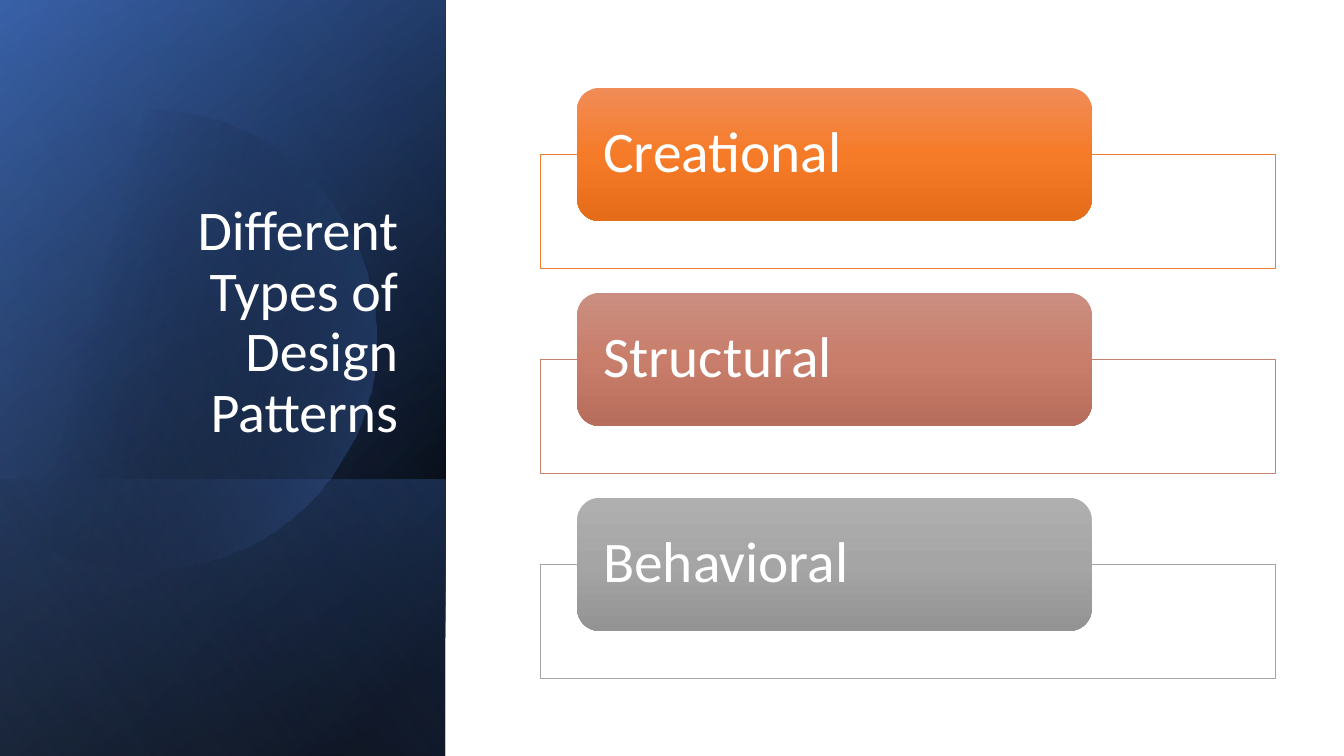
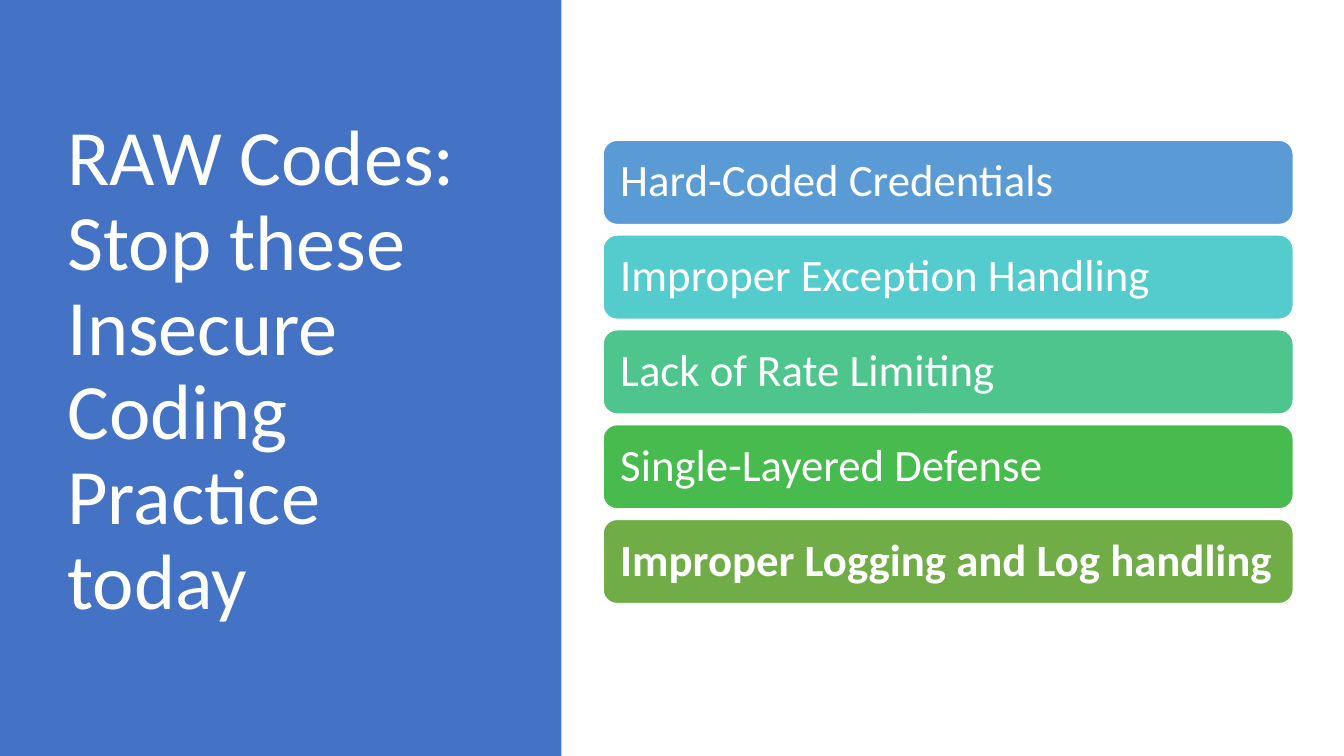
from math import cos, radians, sin

from lxml.etree import fromstring
from pptx import Presentation
from pptx.dml.color import RGBColor
from pptx.enum.shapes import MSO_SHAPE
from pptx.enum.text import MSO_ANCHOR, MSO_AUTO_SIZE, PP_ALIGN
from pptx.oxml.ns import qn
from pptx.util import Pt

NS = "http://schemas.openxmlformats.org/drawingml/2006/main"
FONT = "Calibri"
HUES = {
    "white": "FFFFFF", "black": "000000", "blue": "4472C4",
    "navy": "2F5597", "pale": "8FAADC", "orange": "ED7D31",
    "rust": "C48170", "gray": "A5A5A5", "sky": "5B9BD5",
    "aqua": "54CCCD", "mint": "4DC58D", "green": "48BB4F",
    "olive": "70AD47",
    "orange1": "F18C57", "orange2": "F67B28", "orange3": "E56C19",
    "rust1": "CB8F81", "rust2": "C97E6B", "rust3": "B76D5B",
    "gray1": "AFAFAF", "gray2": "A5A5A5", "gray3": "939393",
}


def paint(shape, fill, angle=0, line=None, width=1):
    shape.shadow.inherit = False
    if line:
        shape.line.color.rgb = RGBColor.from_string(HUES[line])
        shape.line.width = Pt(width)
    else:
        shape.line.fill.background()
    if isinstance(fill, str):
        shape.fill.solid()
        shape.fill.fore_color.rgb = RGBColor.from_string(HUES[fill])
        return
    shape.fill.background()
    stops = "".join(
        f'<a:gs pos="{spot * 1000}"><a:srgbClr val="{HUES[hue]}">'
        f'<a:alpha val="{alpha * 1000}"/></a:srgbClr></a:gs>'
        for spot, hue, alpha in fill)
    grad = fromstring(
        f'<a:gradFill xmlns:a="{NS}" rotWithShape="1"><a:gsLst>{stops}</a:gsLst>'
        f'<a:lin ang="{angle * 60000}" scaled="0"/></a:gradFill>')
    props = shape._element.spPr
    props.replace(props.find(qn("a:noFill")), grad)


def write(shape, text, size, anchor, align=PP_ALIGN.LEFT, bold=False):
    frame = shape.text_frame
    frame.text = text
    frame.word_wrap = True
    frame.auto_size = MSO_AUTO_SIZE.NONE
    frame.vertical_anchor = anchor
    para = frame.paragraphs[0]
    para.alignment = align
    para.line_spacing = 0.9
    para.font.name = FONT
    para.font.size = Pt(size)
    para.font.bold = bold
    para.font.color.rgb = RGBColor.from_string(HUES["white"])


deck = Presentation()
deck.slide_width, deck.slide_height = Pt(960), Pt(540)
layout = deck.slide_layouts[5]

# fmt: off
slide = deck.slides.add_slide(layout)
shapes = slide.shapes
wide, high, foot = 318.2, 540, 197.3
disc = (104, 242.5, 165)
panels = [
    (high, 50, [(8, "black", 100), (100, "navy", 100)]),
    (high, 30, [(0, "black", 0), (99, "blue", 46)]),
    (foot, 130, [(2, "blue", 29), (100, "black", 30)]),
    (None, 14, [(29, "black", 0), (100, "blue", 43)]),
    (high, 120, [(0, "black", 0), (99, "pale", 11)]),
]
for tall, angle, stops in panels:
    if tall:
        panel = shapes.add_shape(
            MSO_SHAPE.RECTANGLE, Pt((wide - tall) / 2),
            Pt(high - (tall + wide) / 2), Pt(tall), Pt(wide))
        panel.rotation = 90
        panel._element.spPr.xfrm.set("flipH", "1")
    else:
        mid, level, radius = disc
        arc = [(mid + radius * cos(radians(turn)),
                level + radius * sin(radians(turn)))
               for turn in range(-129, 130, 2)]
        pen = shapes.build_freeform(*arc[0], scale=Pt(1))
        pen.add_line_segments(arc[1:], close=True)
        panel = pen.convert_to_shape()
    paint(panel, stops, angle)

title = shapes.title
title.left, title.top, title.width, title.height = Pt(46), Pt(132.5), Pt(245.5), Pt(188.6)
write(title, "Different Types of Design Patterns", 40, MSO_ANCHOR.BOTTOM, PP_ALIGN.RIGHT)
shapes._spTree.append(title._element)

kinds = [("Creational", "orange"), ("Structural", "rust"), ("Behavioral", "gray")]
for row, (text, hue) in enumerate(kinds):
    top = 62.8 + row * 146.4
    frame = shapes.add_shape(MSO_SHAPE.RECTANGLE, Pt(386), Pt(top + 47.4), Pt(525), Pt(81.4))
    paint(frame, "white", line=hue, width=0.5)
    card = shapes.add_shape(MSO_SHAPE.ROUNDED_RECTANGLE, Pt(412.3), Pt(top), Pt(367.5), Pt(95))
    paint(card, [(0, hue + "1", 100), (50, hue + "2", 100), (100, hue + "3", 100)], 90)
    card.text_frame.margin_left = card.text_frame.margin_right = Pt(14)
    write(card, text, 41, MSO_ANCHOR.MIDDLE)

slide = deck.slides.add_slide(layout)
shapes = slide.shapes
panel = shapes.add_shape(MSO_SHAPE.RECTANGLE, 0, 0, Pt(401), Pt(high))
paint(panel, "blue")
title = shapes.title
title.left, title.top, title.width, title.height = Pt(41), Pt(49), Pt(299.5), Pt(433.4)
write(title, "RAW Codes: Stop these Insecure Coding Practice today", 56, MSO_ANCHOR.MIDDLE)
shapes._spTree.append(title._element)

flaws = [
    ("Hard-Coded Credentials", "sky"),
    ("Improper Exception Handling", "aqua"),
    ("Lack of Rate Limiting", "mint"),
    ("Single-Layered Defense", "green"),
    ("Improper Logging and Log handling", "olive"),
]
for row, (text, hue) in enumerate(flaws):
    card = shapes.add_shape(
        MSO_SHAPE.ROUNDED_RECTANGLE, Pt(430.8), Pt(100.2 + row * 67.7), Pt(493), Pt(60.2))
    paint(card, hue, line="white")
    card.text_frame.margin_left = card.text_frame.margin_right = Pt(9.3)
    write(card, text, 32, MSO_ANCHOR.MIDDLE, bold=hue == "olive")

deck.save("out.pptx")
